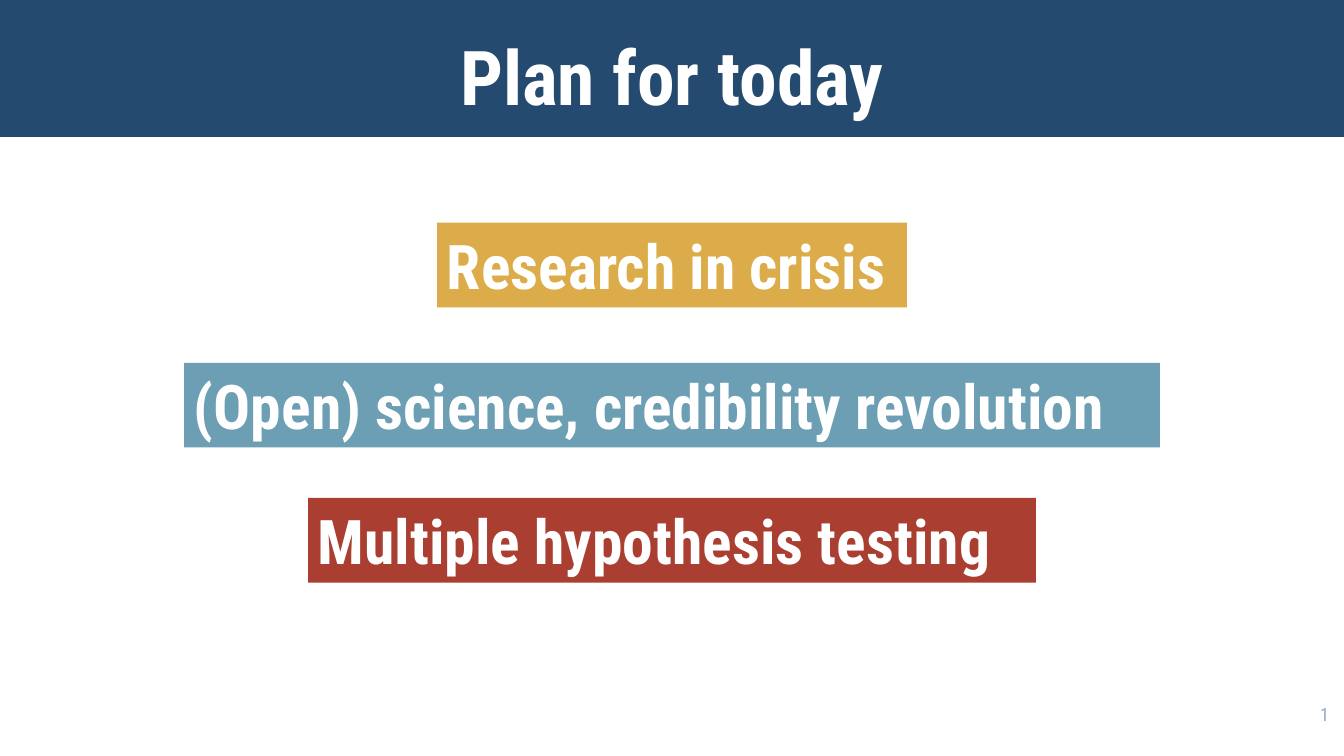
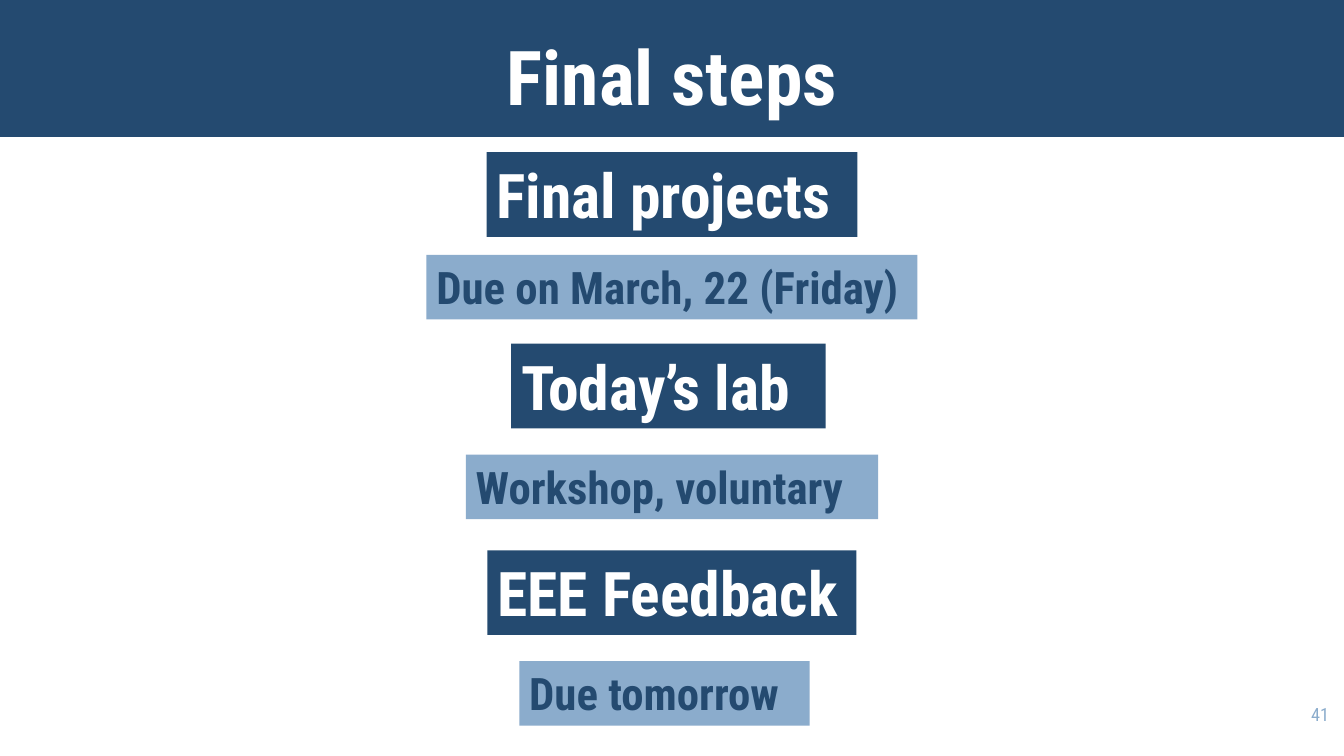
from dataclasses import dataclass

from pptx import Presentation
from pptx.dml.color import RGBColor
from pptx.enum.shapes import MSO_SHAPE
from pptx.enum.text import MSO_ANCHOR, PP_ALIGN
from pptx.util import Inches, Pt


@dataclass(frozen=True)
class Theme:
    font: str = "Roboto Condensed"
    navy: str = "244A70"
    sky: str = "8BACCC"
    gold: str = "DBAC49"
    teal: str = "6C9FB4"
    red: str = "A93E31"
    white: str = "FFFFFF"
    title_size: int = 54
    topic_size: int = 44
    detail_size: int = 32
    number_size: int = 13


THEME = Theme()
SLIDE_W, SLIDE_H = 13.33, 7.5
BAND_H = 1.36
TOPIC_H, DETAIL_H = 0.84, 0.64


def write(sp, text, *, size, color, bold=False, align=PP_ALIGN.LEFT,
          anchor=MSO_ANCHOR.TOP):
    tf = sp.text_frame
    tf.word_wrap = True
    tf.vertical_anchor = anchor
    p = tf.paragraphs[0]
    p.alignment = align
    r = p.add_run()
    r.text = text
    r.font.name = THEME.font
    r.font.size = Pt(size)
    r.font.bold = bold
    r.font.color.rgb = RGBColor.from_string(color)


def add_rect(s, left, top, width, height, fill):
    sp = s.shapes.add_shape(MSO_SHAPE.RECTANGLE, Inches(left), Inches(top),
                            Inches(width), Inches(height))
    sp.shadow.inherit = False
    sp.fill.solid()
    sp.fill.fore_color.rgb = RGBColor.from_string(fill)
    sp.line.fill.background()
    return sp


def add_text(s, left, top, width, height, text, **fmt):
    sp = s.shapes.add_textbox(Inches(left), Inches(top),
                              Inches(width), Inches(height))
    write(sp, text, **fmt)


def add_slide(prs, title, number):
    """Add a slide with the title band and the page number."""
    s = prs.slides.add_slide(prs.slide_layouts[6])
    add_rect(s, 0, 0, SLIDE_W, BAND_H, THEME.navy)
    add_text(s, 0, -0.11, SLIDE_W, BAND_H, title, size=THEME.title_size,
             color=THEME.white, bold=True, align=PP_ALIGN.CENTER,
             anchor=MSO_ANCHOR.BOTTOM)
    add_text(s, 12.48, 6.93, 0.8, 0.57, str(number), size=THEME.number_size,
             color=THEME.sky, align=PP_ALIGN.RIGHT)
    return s


def add_label(s, text, top, width, height, *, fill, size, color, center):
    sp = add_rect(s, center - width / 2, top, width, height, fill)
    write(sp, text, size=size, color=color, bold=True)


def add_topic(s, text, top, width, fill=THEME.navy, center=SLIDE_W / 2):
    add_label(s, text, top, width, TOPIC_H, fill=fill, size=THEME.topic_size,
              color=THEME.white, center=center)


def add_detail(s, text, top, width, center=SLIDE_W / 2):
    add_label(s, text, top, width, DETAIL_H, fill=THEME.sky,
              size=THEME.detail_size, color=THEME.navy, center=center)


def build_plan(prs):
    s = add_slide(prs, "Plan for today", 1)
    add_topic(s, "Research in crisis", 2.21, 4.66, THEME.gold)
    add_topic(s, "(Open) science, credibility revolution", 3.6, 9.68, THEME.teal)
    add_topic(s, "Multiple hypothesis testing", 4.94, 7.22, THEME.red)


def build_final_steps(prs):
    s = add_slide(prs, "Final steps", 41)
    add_topic(s, "Final projects", 1.51, 3.68)
    add_detail(s, "Due on March, 22 (Friday)", 2.53, 4.87)
    add_topic(s, "Today’s lab", 3.41, 3.12, center=6.63)
    add_detail(s, "Workshop, voluntary", 4.51, 4.09)
    add_topic(s, "EEE Feedback", 5.46, 3.66)
    add_detail(s, "Due tomorrow", 6.56, 2.88, center=6.59)


def main():
    prs = Presentation()
    prs.slide_width, prs.slide_height = Inches(SLIDE_W), Inches(SLIDE_H)
    build_plan(prs)
    build_final_steps(prs)
    prs.save("out.pptx")


if __name__ == "__main__":
    main()
